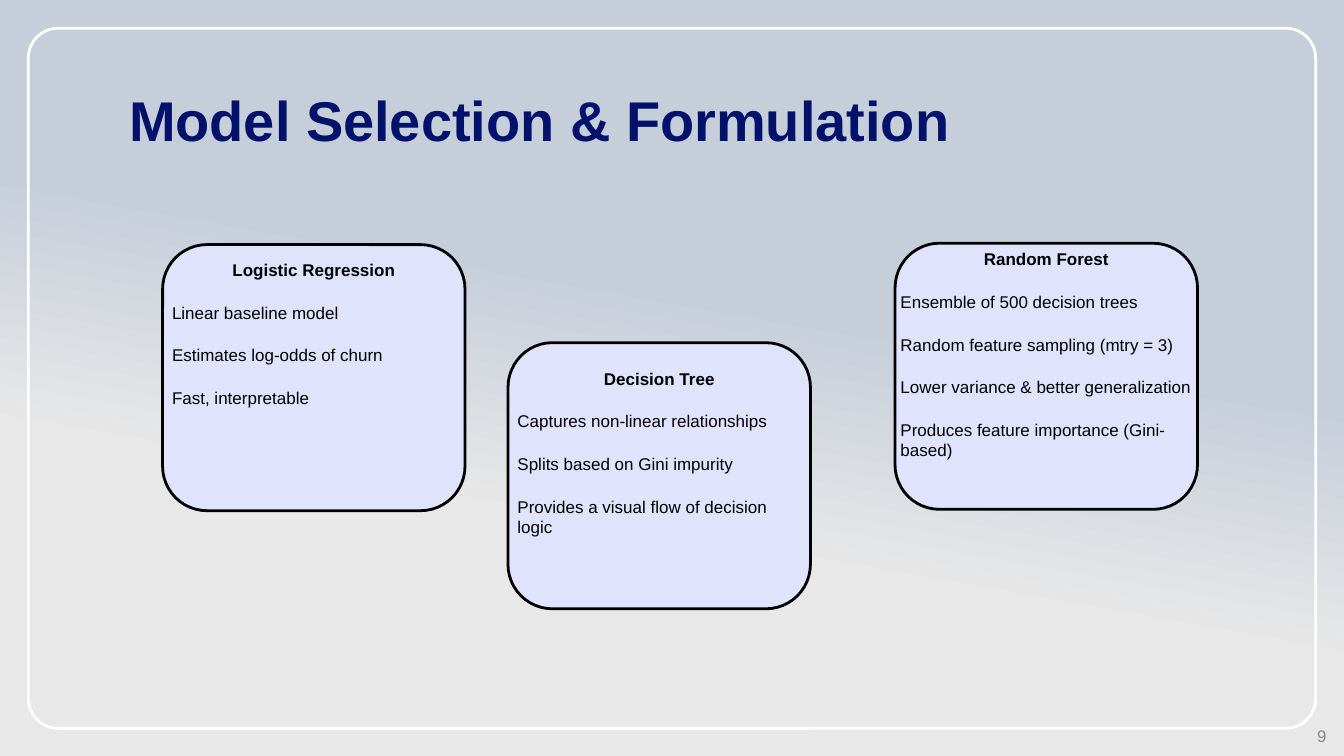
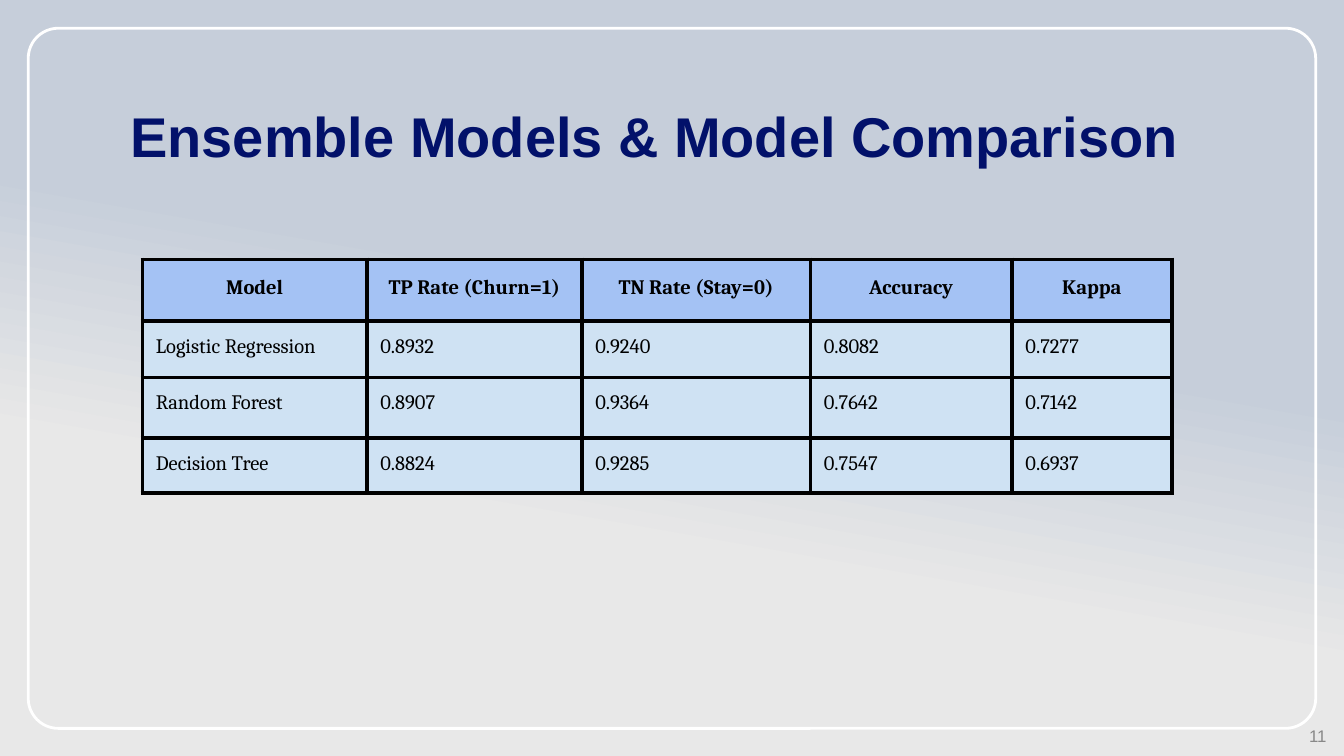
from lxml.etree import SubElement
from pptx import Presentation
from pptx.dml.color import RGBColor
from pptx.enum.shapes import MSO_SHAPE as Shape
from pptx.enum.text import MSO_ANCHOR as Anchor, PP_ALIGN as Align
from pptx.oxml import parse_xml
from pptx.oxml.ns import nsdecls, qn
from pptx.util import Inches, Pt

# Shared look
SLIDE_WIDTH = 10
SLIDE_HEIGHT = SLIDE_WIDTH * 9 / 16
NAVY, BLACK, WHITE, GRAY = "02116A", "000000", "FFFFFF", "888888"
CARD_FILL, HEADER_FILL, ROW_FILL = "DFE3FC", "A4C2F4", "CFE2F3"
# Position in percent, colour, opacity in percent
BACKGROUND_STOPS = [(0, "E8E8E8", 100), (33, "E8E8E8", 100),
                    (59, "C6CEDA", 65), (100, "C6CEDA", 65)]
CARD_WIDTH, CARD_HEIGHT = 2.25, 1.98

# Card corner, text box relative to it (left, top, width, height), heading, points
CARDS = [
    ((1.21, 1.82), (0, 0.07, 2.25, 1.19), "Logistic Regression",
     ["Linear baseline model", "Estimates log-odds of churn", "Fast, interpretable"]),
    ((3.78, 2.55), (0, 0.15, 2.25, 1.7), "Decision Tree",
     ["Captures non-linear relationships", "Splits based on Gini impurity",
      "Provides a visual flow of decision logic"]),
    ((6.66, 1.81), (-0.03, 0, 2.31, 1.66), "Random Forest",
     ["Ensemble of 500 decision trees", "Random feature sampling (mtry = 3)",
      "Lower variance & better generalization",
      "Produces feature importance (Gini-based)"]),
]

COMPARISON = [
    ["Model", "TP Rate (Churn=1)", "TN Rate (Stay=0)", "Accuracy", "Kappa"],
    ["Logistic Regression", "0.8932", "0.9240", "0.8082", "0.7277"],
    ["Random Forest", "0.8907", "0.9364", "0.7642", "0.7142"],
    ["Decision Tree", "0.8824", "0.9285", "0.7547", "0.6937"],
]
COLUMN_WIDTHS = [1.67, 1.6, 1.7, 1.5, 1.19]
ROW_HEIGHTS = [0.46, 0.42, 0.45, 0.41]


def color(value):
    return RGBColor.from_string(value)


def write(paragraph, text, size=9.1, font="Arial", ink=BLACK, bold=False,
          align=Align.LEFT, before=0, spacing=None):
    run = paragraph.add_run()
    run.text = text
    run.font.size, run.font.name, run.font.bold = Pt(size), font, bold
    run.font.color.rgb = color(ink)
    paragraph.alignment = align
    paragraph.space_before = Pt(before)
    if spacing:
        paragraph.line_spacing = spacing


def add_text_frame(slide, box, anchor=Anchor.TOP):
    frame = slide.shapes.add_textbox(*map(Inches, box)).text_frame
    frame.word_wrap = True
    frame.vertical_anchor = anchor
    frame.margin_left = frame.margin_right = Inches(0.07)
    frame.margin_top = frame.margin_bottom = Inches(0.04)
    return frame


def add_rounded(slide, box, corner, line, fill=None):
    shape = slide.shapes.add_shape(Shape.ROUNDED_RECTANGLE, *map(Inches, box))
    shape.adjustments[0] = corner
    shape.shadow.inherit = False
    shape.line.color.rgb = color(line)
    shape.line.width = Pt(1.5)
    if fill:
        shape.fill.solid()
        shape.fill.fore_color.rgb = color(fill)
    else:
        shape.fill.background()


def paint_background(slide):
    fill = slide.background.fill
    fill.gradient()
    fill.gradient_angle = 80
    stops = next(slide.element.iter(qn("a:gsLst")))
    for stop in list(stops):
        stops.remove(stop)
    for position, value, opacity in BACKGROUND_STOPS:
        stop = SubElement(stops, qn("a:gs"), pos=str(position * 1000))
        tint = SubElement(stop, qn("a:srgbClr"), val=value)
        if opacity < 100:
            SubElement(tint, qn("a:alpha"), val=str(opacity * 1000))


def start_slide(presentation, title, title_box, number):
    """Background, white frame, title and slide number."""
    slide = presentation.slides.add_slide(presentation.slide_layouts[6])
    paint_background(slide)
    add_rounded(slide, (0.21, 0.21, 9.58, 5.21), 0.043, WHITE)
    heading = add_text_frame(slide, title_box, Anchor.BOTTOM)
    write(heading.paragraphs[0], title, size=30, ink=NAVY, bold=True, spacing=0.9)
    footer = add_text_frame(slide, (7.69, 5.38, 2.25, 0.19), Anchor.MIDDLE)
    write(footer.paragraphs[0], number, size=9, ink=GRAY, align=Align.RIGHT)
    return slide


def add_card(slide, corner, text_box, heading, points):
    left, top = corner
    add_rounded(slide, (left, top, CARD_WIDTH, CARD_HEIGHT), 0.167, BLACK, CARD_FILL)
    dx, dy, width, height = text_box
    frame = add_text_frame(slide, (left + dx, top + dy, width, height))
    write(frame.paragraphs[0], heading, bold=True, align=Align.CENTER)
    for point in points:
        write(frame.add_paragraph(), point, before=12)


def add_borders(cell, width=2.25):
    properties = cell._tc.get_or_add_tcPr()
    for index, side in enumerate(("lnL", "lnR", "lnT", "lnB")):
        properties.insert(index, parse_xml(
            f'<a:{side} {nsdecls("a")} w="{Pt(width)}"><a:solidFill>'
            f'<a:srgbClr val="{BLACK}"/></a:solidFill></a:{side}>'))


def add_comparison_table(slide, left, top):
    size = sum(COLUMN_WIDTHS), sum(ROW_HEIGHTS)
    table = slide.shapes.add_table(len(COMPARISON), len(COLUMN_WIDTHS),
                                   *map(Inches, (left, top, *size))).table
    table.horz_banding = False
    for column, width in zip(table.columns, COLUMN_WIDTHS):
        column.width = Inches(width)
    for row_index, (row, height) in enumerate(zip(table.rows, ROW_HEIGHTS)):
        row.height = Inches(height)
        header = row_index == 0
        for cell, text in zip(row.cells, COMPARISON[row_index]):
            cell.fill.solid()
            cell.fill.fore_color.rgb = color(HEADER_FILL if header else ROW_FILL)
            cell.margin_left = cell.margin_right = Inches(0.1)
            cell.margin_top = cell.margin_bottom = Inches(0.1)
            write(cell.text_frame.paragraphs[0], text, size=11, font="Cambria",
                  bold=header, align=Align.CENTER if header else Align.LEFT,
                  spacing=1.15 if header else None)
            add_borders(cell)


def build_model_slide(presentation):
    slide = start_slide(presentation, "Model Selection & Formulation",
                        (0.89, 0.3, 8.43, 0.88), "9")
    for card in CARDS:
        add_card(slide, *card)


def build_comparison_slide(presentation):
    slide = start_slide(presentation, "Ensemble Models & Model Comparison",
                        (0.9, 0.47, 8.43, 0.83), "11")
    add_comparison_table(slide, 1.06, 1.93)


def main():
    presentation = Presentation()
    presentation.slide_width = Inches(SLIDE_WIDTH)
    presentation.slide_height = Inches(SLIDE_HEIGHT)
    build_model_slide(presentation)
    build_comparison_slide(presentation)
    presentation.save("out.pptx")


if __name__ == "__main__":
    main()
